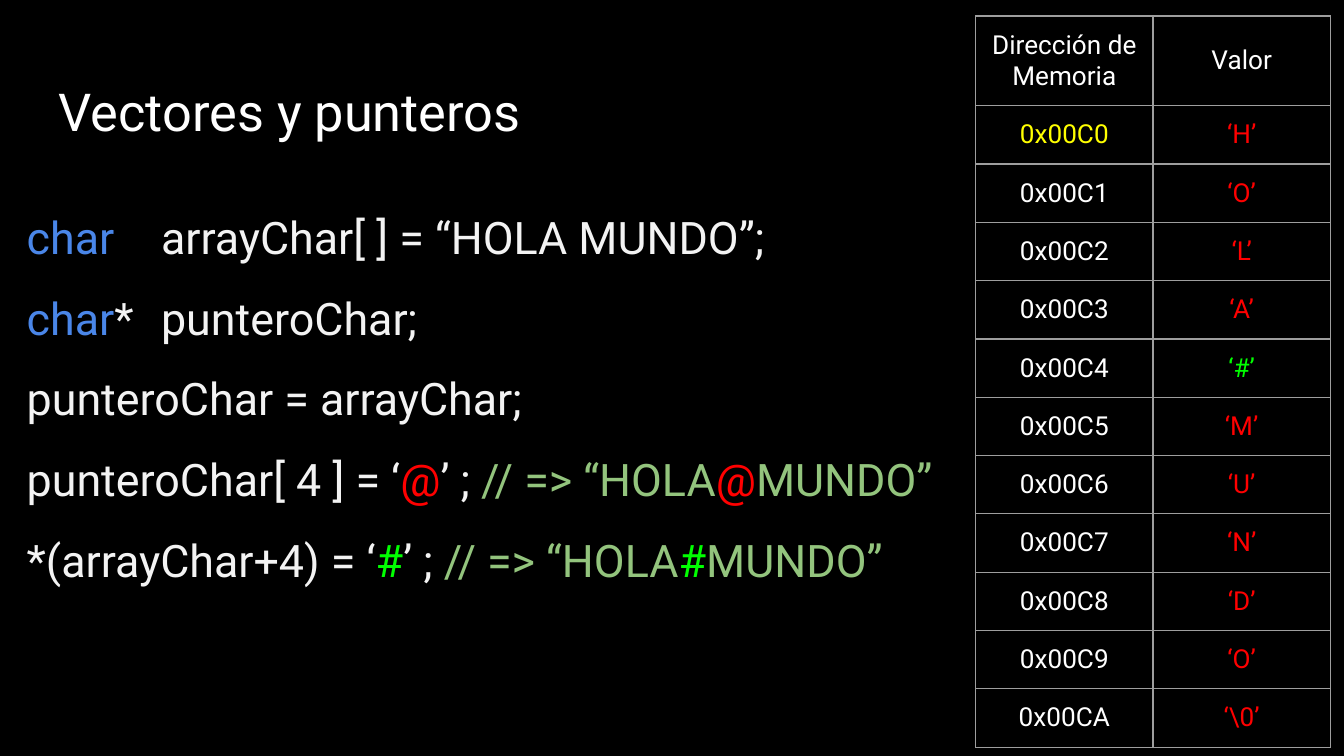
from lxml.etree import SubElement
from pptx import Presentation
from pptx.dml.color import RGBColor
from pptx.enum.text import MSO_ANCHOR as Anchor, PP_ALIGN as Align
from pptx.oxml import parse_xml
from pptx.oxml.ns import nsdecls, qn
from pptx.util import Pt

WHITE, PALE, BLUE = "FFFFFF", "F3F3F3", "4A86E8"
RED, LIME, GREEN, YELLOW = "FF0000", "00FF00", "93C47D", "FFFF00"
GRAY, BLACK = "9E9E9E", "000000"

TITLE = [[("Vectores y punteros", WHITE)]]


def change(left, mark, tint):
    return [(left + " = ‘", PALE), (mark, tint), ("’ ; ", PALE),
            ("// => “HOLA", GREEN), (mark, tint), ("MUNDO”", GREEN)]


CODE = [
    [("char", BLUE), (" \tarrayChar[ ] = “HOLA MUNDO”;", PALE)],
    [("char", BLUE), ("* \tpunteroChar;", PALE)],
    [("punteroChar = arrayChar;", PALE)],
    change("punteroChar[ 4 ]", "@", RED),
    change("*(arrayChar+4)", "#", LIME),
]
HEAD = ["Dirección de Memoria", "Valor"]
CHARS = ["H", "O", "L", "A", "#", "M", "U", "N", "D", "O", "\\0"]
START = 0xC0

TEXTS = [
    (TITLE, (24.5, 35.3, 688, 45.4), 28, 1),
    (CODE, (7.2, 90.7, 688, 289.4), 24, 1.5),
]
GRID = {"left": 522.7, "top": 8.6, "col": 95, "head": 47, "row": 31}
INSET = {"margin_left": Pt(7.2), "margin_right": Pt(7.2),
         "margin_top": Pt(7.2), "margin_bottom": Pt(7.2)}
BOX = {**INSET, "word_wrap": True, "vertical_anchor": Anchor.TOP}
CELL = {**INSET, "vertical_anchor": Anchor.MIDDLE}


def color(code):
    return RGBColor.from_string(code)


def apply(item, form):
    for name, value in form.items():
        setattr(item, name, value)


def write(para, runs, size):
    for text, tint in runs:
        run = para.add_run()
        run.text = text
        apply(run.font, {"name": "Roboto", "size": Pt(size)})
        run.font.color.rgb = color(tint)


def add_text(slide, lines, place, size, space):
    frame = slide.shapes.add_textbox(*map(Pt, place)).text_frame
    apply(frame, BOX)
    for i, runs in enumerate(lines):
        para = frame.add_paragraph() if i else frame.paragraphs[0]
        para.line_spacing = space
        write(para, runs, size)


def border(cell):
    props = cell._tc.get_or_add_tcPr()
    for i, side in enumerate(("lnL", "lnR", "lnT", "lnB")):
        line = parse_xml(f'<a:{side} {nsdecls("a")} w="{Pt(0.75)}"/>')
        fill = SubElement(line, qn("a:solidFill"))
        SubElement(fill, qn("a:srgbClr")).set("val", GRAY)
        props.insert(i, line)


def add_grid(slide):
    rows = [[(text, WHITE) for text in HEAD]]
    for i, char in enumerate(CHARS):
        rows.append([(f"0x{START + i:04X}", WHITE if i else YELLOW),
                     (f"‘{char}’", LIME if char == "#" else RED)])
    high = GRID["head"] + GRID["row"] * len(CHARS)
    place = GRID["left"], GRID["top"], GRID["col"] * len(HEAD), high
    table = slide.shapes.add_table(len(rows), len(HEAD), *map(Pt, place)).table
    apply(table, {"first_row": False, "horz_banding": False})
    for r, row in enumerate(rows):
        table.rows[r].height = Pt(GRID["row"] if r else GRID["head"])
        for c, run in enumerate(row):
            cell = table.cell(r, c)
            apply(cell, CELL)
            cell.fill.background()
            border(cell)
            para = cell.text_frame.paragraphs[0]
            para.alignment = Align.CENTER
            write(para, [run], 14)


def main():
    deck = Presentation()
    apply(deck, {"slide_width": Pt(720), "slide_height": Pt(405)})
    slide = deck.slides.add_slide(deck.slide_layouts[6])
    back = slide.background.fill
    back.solid()
    back.fore_color.rgb = color(BLACK)
    for text in TEXTS:
        add_text(slide, *text)
    add_grid(slide)
    deck.save("out.pptx")


if __name__ == "__main__":
    main()
